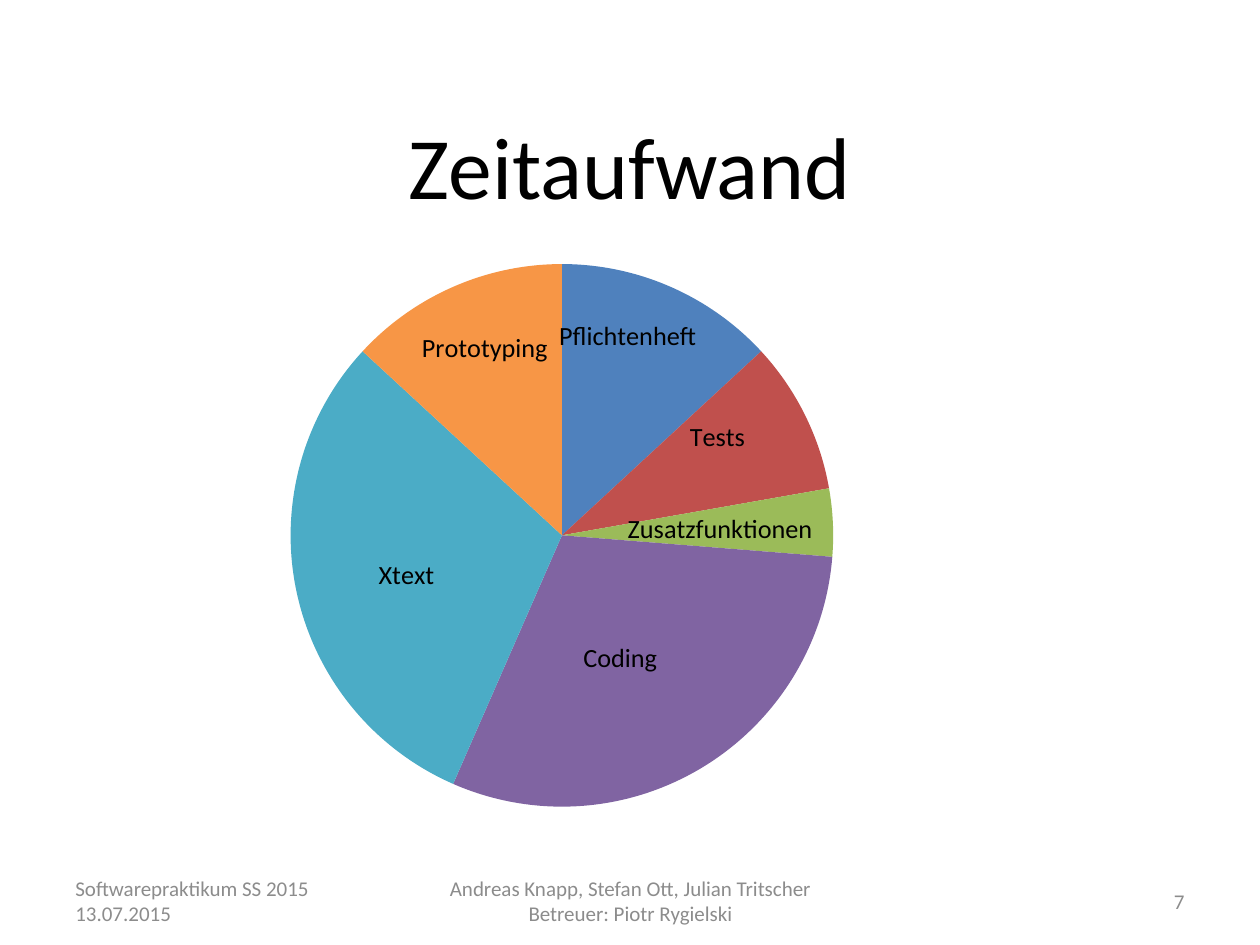
from typing import NamedTuple

from lxml import etree
from pptx import Presentation
from pptx import util as u
from pptx.chart import data as chart_data
from pptx.dml import color
from pptx.enum import chart as chart_enum
from pptx.enum import text
from pptx.oxml import ns

FONT = "Calibri"
COLORS = {
    "title": "000000", "footer": "8C8C8C", "blue": "4F81BD", "red": "C0504D",
    "green": "9BBB59", "purple": "8064A2", "teal": "4BACC6", "orange": "F79646",
}


class Slice(NamedTuple):
    name: str
    hours: int
    color: str
    label_shift: tuple[float, float]


class Footer(NamedTuple):
    lines: tuple[str, ...]
    left: float
    width: float
    align: text.PP_ALIGN


SLICES = [
    Slice("Pflichtenheft", 13, "blue", (0.01, -0.12)),
    Slice("Tests", 9, "red", (0.03, -0.06)),
    Slice("Zusatzfunktionen", 4, "green", (0.02, 0)),
    Slice("Coding", 30, "purple", (-0.01, 0.01)),
    Slice("Xtext", 30, "teal", (-0.02, 0.02)),
    Slice("Prototyping", 13, "orange", (-0.02, -0.1)),
]
FOOTERS = [
    Footer(("Softwarepraktikum SS 2015", "13.07.2015"), 0.5, 2.33, text.PP_ALIGN.LEFT),
    Footer(("Andreas Knapp, Stefan Ott, Julian Tritscher", "Betreuer: Piotr Rygielski"),
           3.42, 3.17, text.PP_ALIGN.CENTER),
    Footer(("7",), 7.17, 2.33, text.PP_ALIGN.RIGHT),
]


def rgb(name: str) -> color.RGBColor:
    return color.RGBColor.from_string(COLORS[name])


def write(frame, lines: tuple[str, ...], *, size: float, ink: str,
          align: text.PP_ALIGN, anchor: text.MSO_ANCHOR) -> None:
    frame.word_wrap = True
    frame.auto_size = text.MSO_AUTO_SIZE.NONE
    frame.vertical_anchor = anchor
    frame.text = "\n".join(lines)
    for paragraph in frame.paragraphs:
        paragraph.alignment = align
        paragraph.font.size = u.Pt(size)
        paragraph.font.name = FONT
        paragraph.font.color.rgb = rgb(ink)


def make_layout(**values: object) -> etree.ElementBase:
    """Build a manual chart layout from its named settings."""
    layout = etree.Element(ns.qn("c:layout"))
    manual = etree.SubElement(layout, ns.qn("c:manualLayout"))
    for name, value in values.items():
        etree.SubElement(manual, ns.qn(f"c:{name}")).set("val", str(value))
    return layout


def add_pie(slide) -> None:
    data = chart_data.CategoryChartData()
    data.categories = [item.name for item in SLICES]
    data.add_series("Series 1", [item.hours for item in SLICES])
    chart = slide.shapes.add_chart(
        chart_enum.XL_CHART_TYPE.PIE, u.Inches(0.5), u.Inches(1.75),
        u.Inches(9), u.Inches(4.95), data).chart
    chart.has_legend = False
    chart.has_title = False
    chart.font.size = u.Pt(15)
    chart.font.name = FONT
    chart.font.color.rgb = rgb("title")

    plot = chart.plots[0]
    plot.vary_by_categories = True
    plot.has_data_labels = True
    labels = plot.data_labels
    labels.show_category_name = True
    labels.show_value = False
    labels.show_percentage = False
    labels.position = chart_enum.XL_LABEL_POSITION.CENTER

    for index, item in enumerate(SLICES):
        point = plot.series[0].points[index]
        point.format.fill.solid()
        point.format.fill.fore_color.rgb = rgb(item.color)
        point.data_label.position = chart_enum.XL_LABEL_POSITION.CENTER

    # Labels show only the category, each nudged from the slice centre
    for label, item in zip(chart.element.iter(ns.qn("c:dLbl")), SLICES):
        x, y = item.label_shift
        label.find(ns.qn("c:idx")).addnext(make_layout(x=x, y=y))
        label.find(ns.qn("c:showVal")).set("val", "0")
        label.find(ns.qn("c:showCatName")).set("val", "1")

    # Plot area position within the chart
    area = chart.element.find(".//" + ns.qn("c:plotArea"))
    for old in area.findall(ns.qn("c:layout")):
        area.remove(old)
    area.insert(0, make_layout(layoutTarget="inner", xMode="edge", yMode="edge",
                               x=0.2, y=0.07, w=0.48, h=0.87))


def main() -> None:
    presentation = Presentation()
    presentation.slide_width = u.Inches(10)
    presentation.slide_height = u.Inches(7.5)
    slide = presentation.slides.add_slide(presentation.slide_layouts[5])

    # Title
    title = slide.shapes.title
    title.left, title.top = u.Inches(0.5), u.Inches(0.84)
    title.width, title.height = u.Inches(9), u.Inches(0.79)
    write(title.text_frame, ("Zeitaufwand",), size=50, ink="title",
          align=text.PP_ALIGN.CENTER, anchor=text.MSO_ANCHOR.TOP)

    # Time spent per task
    add_pie(slide)

    # Footer row
    for footer in FOOTERS:
        box = slide.shapes.add_textbox(u.Inches(footer.left), u.Inches(6.95),
                                       u.Inches(footer.width), u.Inches(0.4))
        write(box.text_frame, footer.lines, size=12, ink="footer",
              align=footer.align, anchor=text.MSO_ANCHOR.MIDDLE)

    presentation.save("out.pptx")


main()
